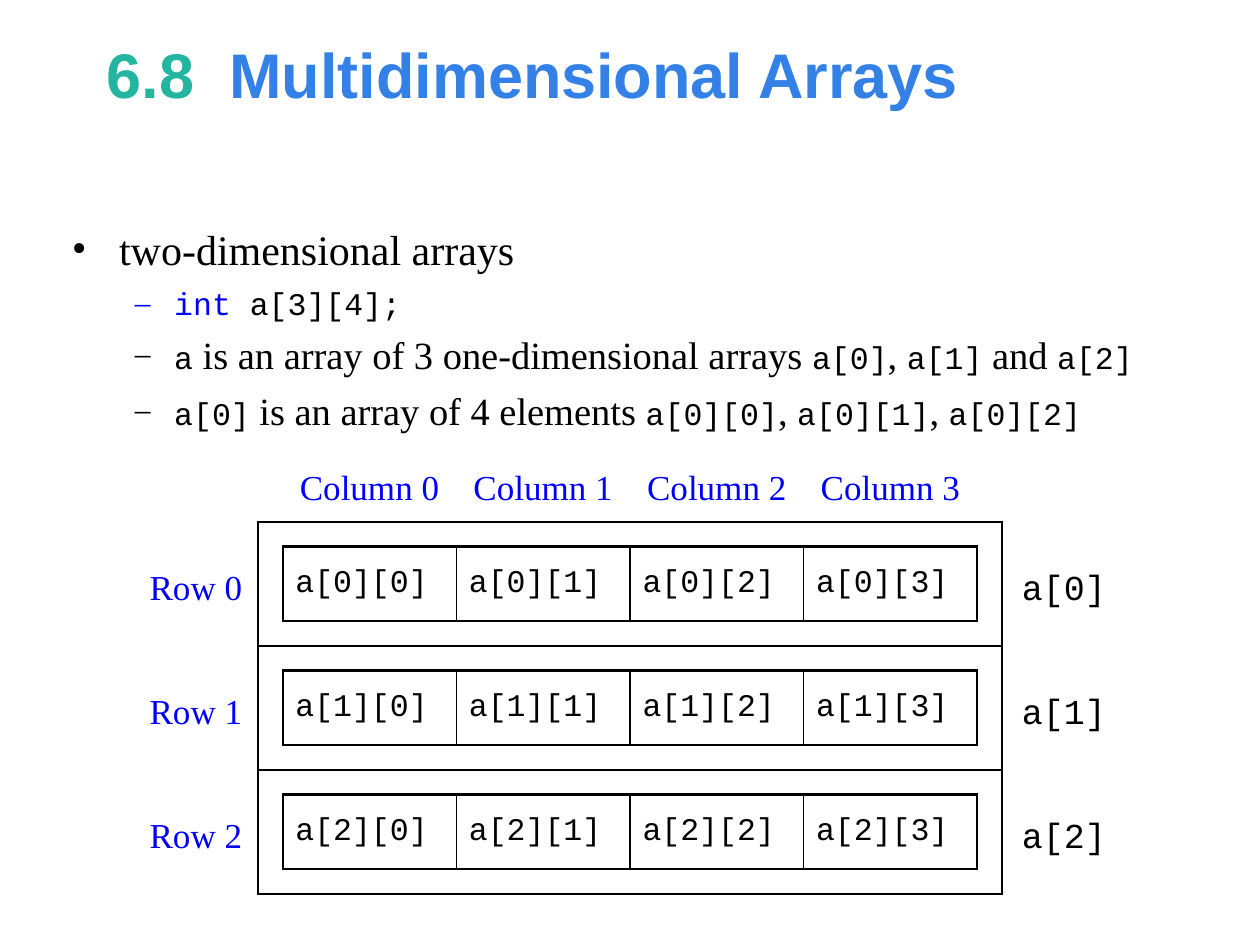
from lxml.etree import SubElement
from pptx import Presentation
from pptx.dml.color import RGBColor
from pptx.enum.text import MSO_ANCHOR, PP_ALIGN
from pptx.oxml.ns import qn
from pptx.util import Pt

BLACK = RGBColor(0x00, 0x00, 0x00)
BLUE = RGBColor(0x00, 0x00, 0xFF)
TEAL = RGBColor(0x24, 0xB5, 0xA1)
SKY = RGBColor(0x33, 0x80, 0xE6)
SERIF, MONO, SANS = "Times New Roman", "Courier New", "Arial"

TITLE = [("6.8  ", TEAL), ("Multidimensional Arrays", SKY)]
HEADING = (SERIF, 24, BLACK)
PROSE = (SERIF, 22, BLACK)
CODE = (MONO, 18, BLACK)
KEYWORD = (MONO, 18, BLUE)
BULLETS = [
    ("•", 27, -27, [("two-dimensional arrays", HEADING)]),
    ("–", 58.5, -22.5, [("int", KEYWORD), (" a[3][4];", CODE)]),
    ("–", 58.5, -22.5, [
        ("a", CODE), (" is an array of 3 one-dimensional arrays ", PROSE),
        ("a[0]", CODE), (", ", PROSE), ("a[1]", CODE), (" and ", PROSE), ("a[2]", CODE),
    ]),
    ("–", 58.5, -22.5, [
        ("a[0]", CODE), (" is an array of 4 elements ", PROSE),
        ("a[0][0]", CODE), (", ", PROSE), ("a[0][1]", CODE), (", ", PROSE), ("a[0][2]", CODE),
    ]),
]

ROWS, COLUMNS = 3, 4
FRAME_LEFT, FRAME_TOP = 147.4, 298.1
ROW_HEIGHT, PADDING = 70.87, 14.17
CELL_WIDTH = 99.21
CELL_HEIGHT = ROW_HEIGHT - 2 * PADDING
GRID_LEFT = FRAME_LEFT + PADDING
GRID_WIDTH = COLUMNS * CELL_WIDTH
FRAME_WIDTH = GRID_WIDTH + 2 * PADDING
THICK, THIN = 1.5, 1


def style(font, name, size, color):
    font.name, font.size = name, Pt(size)
    font.color.rgb = color


def add_text_box(slide, left, top, width, height, anchor=MSO_ANCHOR.MIDDLE, wrap=True):
    box = slide.shapes.add_textbox(Pt(left), Pt(top), Pt(width), Pt(height))
    frame = box.text_frame
    frame.word_wrap = wrap
    frame.vertical_anchor = anchor
    return frame


def add_label(slide, text, left, top, width, font_name, color):
    frame = add_text_box(slide, left, top, width, CELL_HEIGHT, wrap=False)
    frame.margin_top = Pt(6.4)
    paragraph = frame.paragraphs[0]
    paragraph.text = text
    paragraph.alignment = PP_ALIGN.CENTER
    style(paragraph.font, font_name, 20, color)


def set_bullet(paragraph, character, margin, indent):
    properties = paragraph._p.get_or_add_pPr()
    properties.set("marL", str(Pt(margin)))
    properties.set("indent", str(Pt(indent)))
    SubElement(properties, qn("a:buFont")).set("typeface", SERIF)
    SubElement(properties, qn("a:buChar")).set("char", character)


def set_borders(cell, left=THICK, right=THICK):
    properties = cell._tc.get_or_add_tcPr()
    for side, width in (("L", left), ("R", right), ("T", THICK), ("B", THICK)):
        line = SubElement(properties, qn(f"a:ln{side}"), w=str(Pt(width)))
        fill = SubElement(line, qn("a:solidFill"))
        SubElement(fill, qn("a:srgbClr")).set("val", str(BLACK))
    cell.fill.background()


def add_grid(slide, rows, columns, left, top, cell_width, cell_height):
    table = slide.shapes.add_table(
        rows, columns, Pt(left), Pt(top), Pt(columns * cell_width), Pt(rows * cell_height)
    ).table
    table.first_row = table.horz_banding = False
    for column in table.columns:
        column.width = Pt(cell_width)
    for row in table.rows:
        row.height = Pt(cell_height)
    return table


def add_array_row(slide, row, top):
    table = add_grid(slide, 1, COLUMNS, GRID_LEFT, top, CELL_WIDTH, CELL_HEIGHT)
    for column in range(COLUMNS):
        cell = table.cell(0, column)
        cell.text = f"a[{row}][{column}]"
        cell.vertical_anchor = MSO_ANCHOR.MIDDLE
        cell.margin_left = cell.margin_right = Pt(7.2)
        cell.margin_top = cell.margin_bottom = Pt(3)
        style(cell.text_frame.paragraphs[0].font, *CODE)
        set_borders(
            cell,
            left=THICK if column == 0 else THIN,
            right=THICK if column == COLUMNS - 1 else THIN,
        )


def add_title(slide):
    paragraph = add_text_box(slide, 54, 12, 612, 60).paragraphs[0]
    paragraph.font.name, paragraph.font.size = SANS, Pt(36)
    paragraph.font.bold = True
    for text, color in TITLE:
        run = paragraph.add_run()
        run.text = text
        run.font.color.rgb = color


def add_bullets(slide):
    frame = add_text_box(slide, 34, 113.8, 623.5, 127.4, MSO_ANCHOR.TOP)
    frame.margin_top = Pt(14)
    for index, (character, margin, indent, runs) in enumerate(BULLETS):
        paragraph = frame.add_paragraph() if index else frame.paragraphs[0]
        if index:
            paragraph.level = 1
            paragraph.space_before = Pt(5.5)
        set_bullet(paragraph, character, margin, indent)
        for text, look in runs:
            run = paragraph.add_run()
            run.text = text
            style(run.font, *look)


def add_array_diagram(slide):
    frame = add_grid(slide, ROWS, 1, FRAME_LEFT, FRAME_TOP, FRAME_WIDTH, ROW_HEIGHT)
    for cell in frame.iter_cells():
        set_borders(cell)
    for column in range(COLUMNS):
        left = GRID_LEFT + column * CELL_WIDTH
        add_label(slide, f"Column {column}", left, FRAME_TOP - CELL_HEIGHT, CELL_WIDTH, SERIF, BLUE)
    for row in range(ROWS):
        top = FRAME_TOP + PADDING + row * ROW_HEIGHT
        add_array_row(slide, row, top)
        add_label(slide, f"Row {row}", FRAME_LEFT - ROW_HEIGHT, top, ROW_HEIGHT, SERIF, BLUE)
        add_label(slide, f"a[{row}]", FRAME_LEFT + FRAME_WIDTH, top, ROW_HEIGHT, MONO, BLACK)


def main():
    presentation = Presentation()
    presentation.slide_width, presentation.slide_height = Pt(720), Pt(540)
    slide = presentation.slides.add_slide(presentation.slide_layouts[6])
    add_title(slide)
    add_bullets(slide)
    add_array_diagram(slide)
    presentation.save("out.pptx")


if __name__ == "__main__":
    main()
